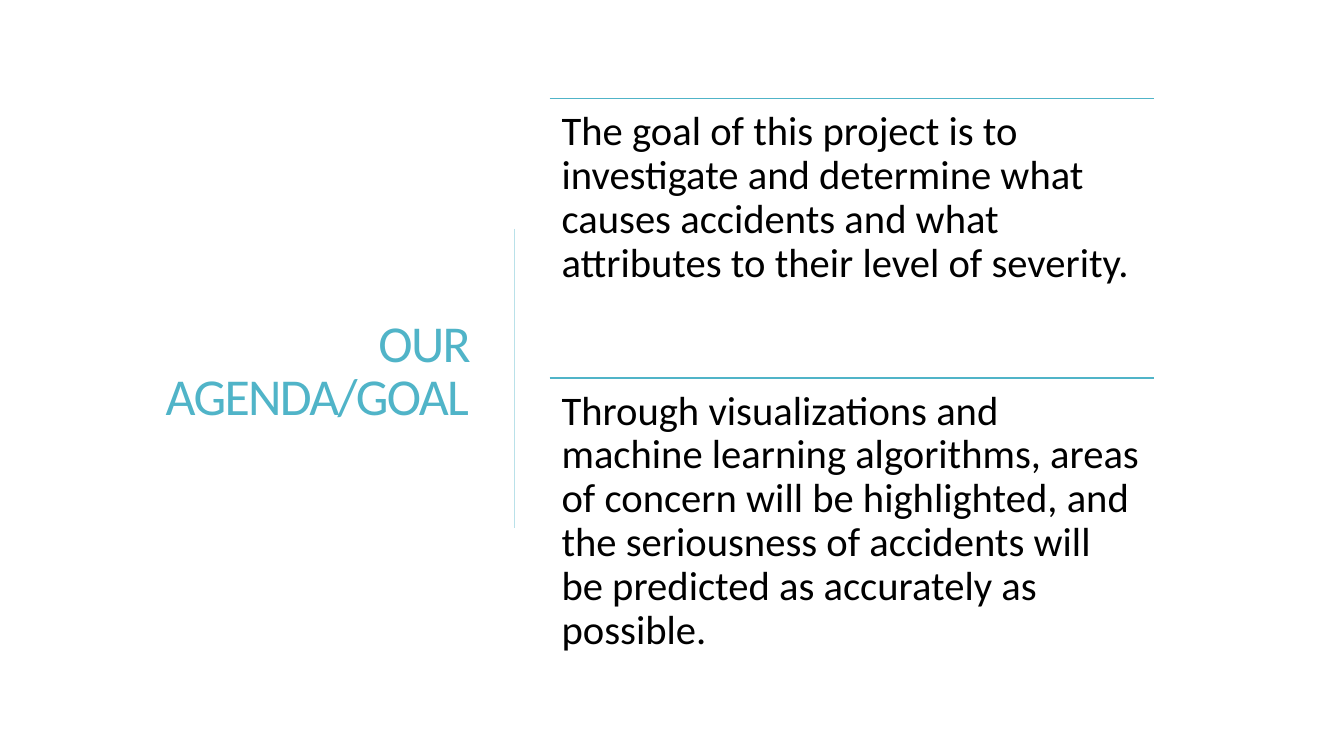
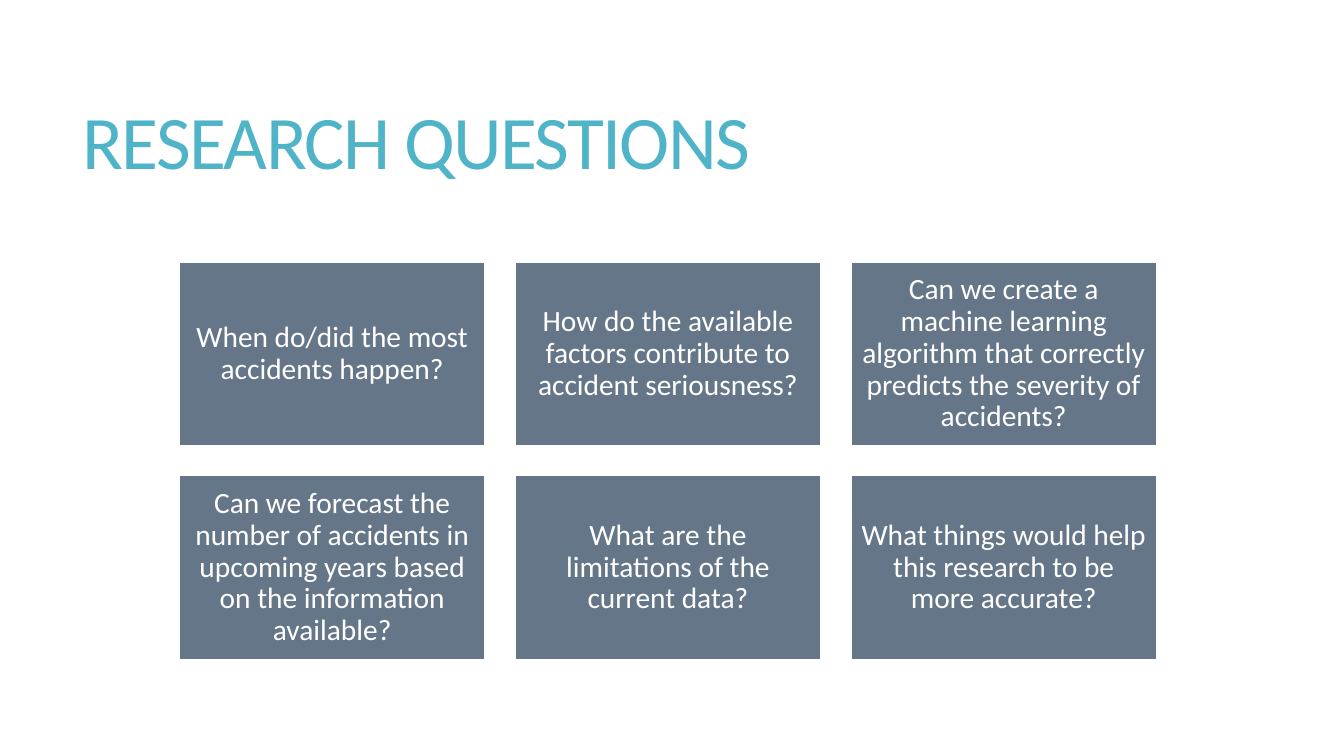
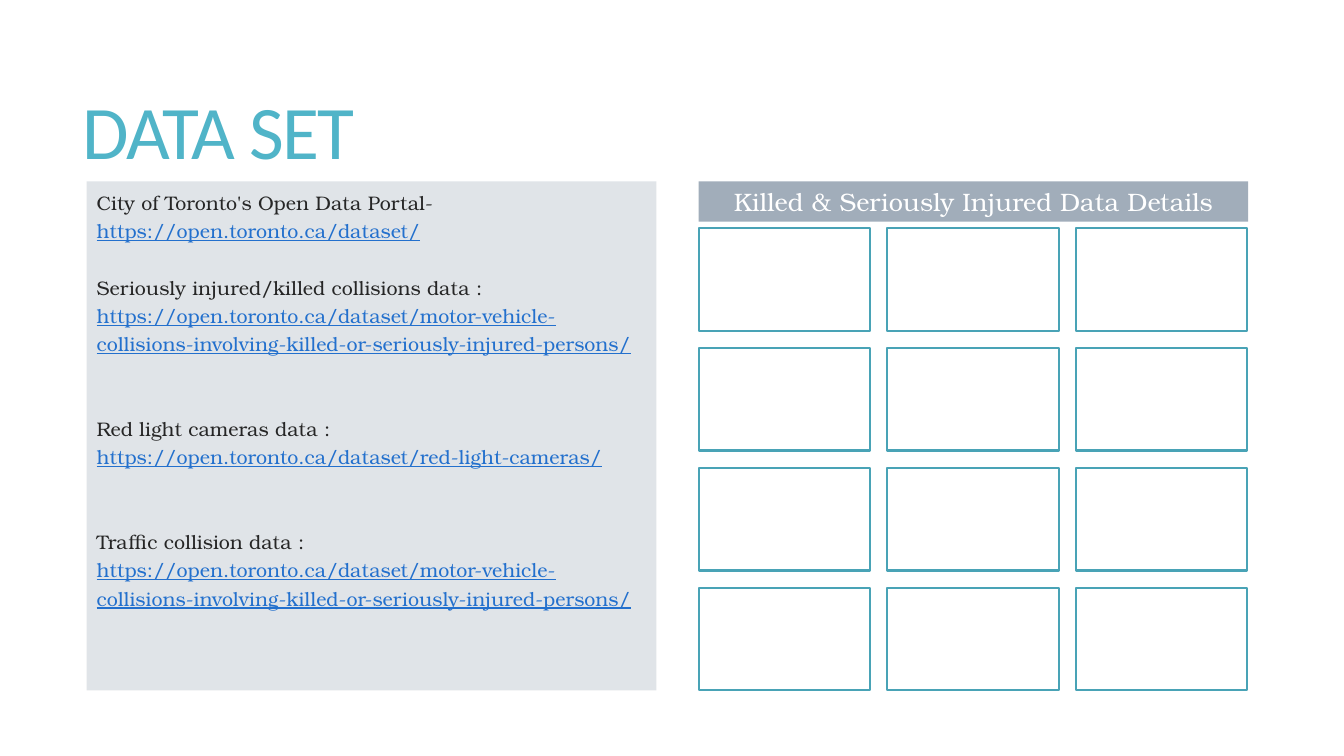
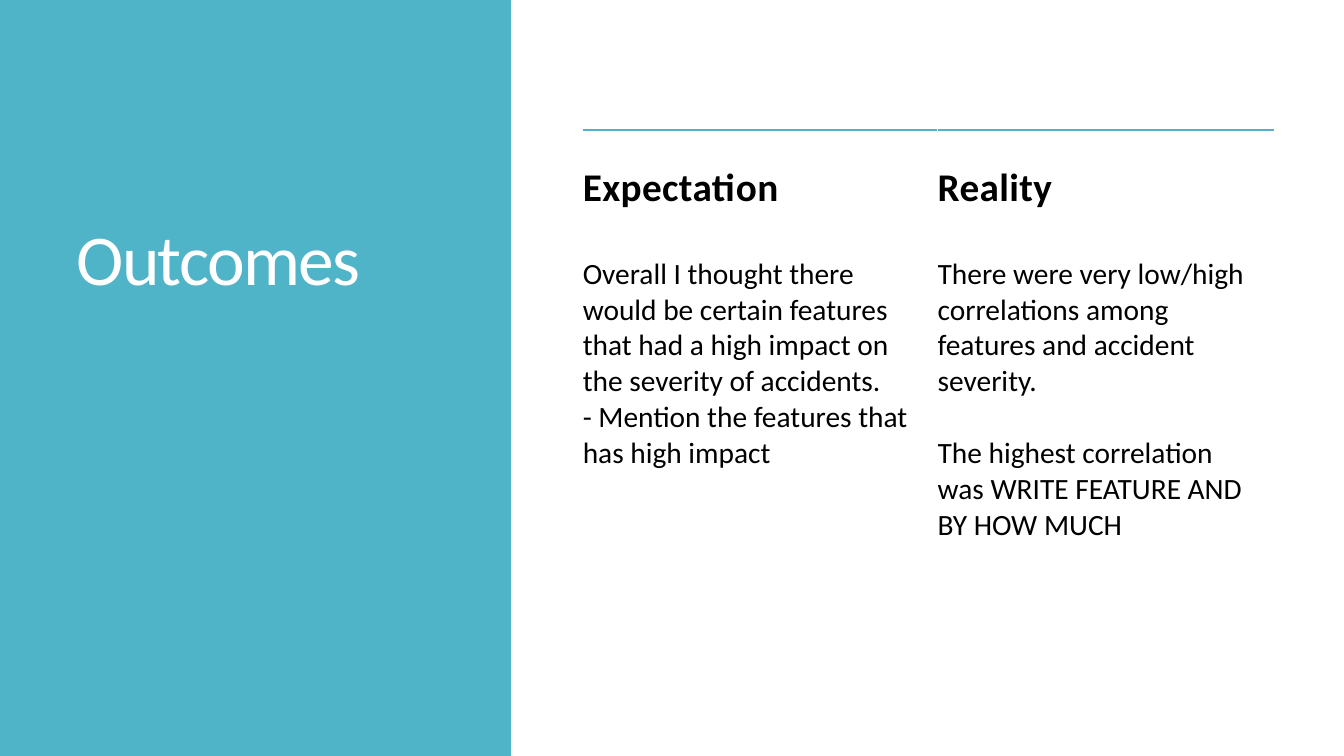
from lxml import etree
from pptx import Presentation
from pptx.dml.color import RGBColor
from pptx.enum.shapes import MSO_CONNECTOR as LINK, MSO_SHAPE as SHAPE
from pptx.enum.text import MSO_ANCHOR as ANCHOR, PP_ALIGN as ALIGN
from pptx.oxml.ns import qn
from pptx.util import Inches, Pt

TEAL = RGBColor(0x50, 0xB4, 0xC8)
PALE = RGBColor(0xB9, 0xE1, 0xE9)
EDGE = RGBColor(0x49, 0xA3, 0xB6)
SLATE = RGBColor(0x65, 0x76, 0x89)
STEEL = RGBColor(0xA1, 0xAD, 0xBA)
MIST = RGBColor(0xE0, 0xE4, 0xE8)
BLUE = RGBColor(0x23, 0x70, 0xCD)
INK = RGBColor(0x26, 0x26, 0x26)
BLACK = RGBColor(0, 0, 0)
WHITE = RGBColor(0xFF, 0xFF, 0xFF)

SANS = "Calibri"
SERIF = "TeX Gyre Bonum"

GOALS = [
    "The goal of this project is to investigate and determine what causes "
    "accidents and what attributes to their level of severity.",
    "Through visualizations and machine learning algorithms, areas of concern "
    "will be highlighted, and the seriousness of accidents will be predicted "
    "as accurately as possible.",
]
QUERIES = [
    "When do/did the most accidents happen?",
    "How do the available factors contribute to accident seriousness?",
    "Can we create a machine learning algorithm that correctly predicts "
    "the severity of accidents?",
    "Can we forecast the number of accidents in upcoming years based on "
    "the information available?",
    "What are the limitations of the current data?",
    "What things would help this research to be more accurate?",
]
SITE = "https://open.toronto.ca/dataset/"
CRASH = SITE + "motor-vehicle-collisions-involving-killed-or-seriously-injured-persons/"
# Label, address, points of space before
SOURCES = [
    ("City of Toronto's Open Data Portal-", SITE, 0),
    ("Seriously injured/killed collisions data :", CRASH, 20.2),
    ("Red light cameras data :", SITE + "red-light-cameras/", 40.4),
    ("Traffic collision data :", CRASH, 40.4),
]
# Heading, paragraphs, points of space between paragraphs
OUTCOMES = [
    ("Expectation",
     ["Overall I thought there would be certain features that had a high "
      "impact on the severity of accidents.",
      "- Mention the features that has high impact"], 0),
    ("Reality",
     ["There were very low/high correlations among features and accident severity.",
      "The highest correlation was WRITE FEATURE AND BY HOW MUCH"], 25.6),
]


def write(frame, text, size, color, face=SANS, track=0, before=0, new=False,
          bold=False, underline=False, **form):
    """Fill the first paragraph of a frame, or a new one; form sets its layout."""
    para = frame.add_paragraph() if new else frame.paragraphs[0]
    for name, value in form.items():
        setattr(para, name, value)
    if before:
        para.space_before = Pt(before)
    run = para.add_run()
    run.text = text
    look = {"name": face, "size": Pt(size), "bold": bold, "underline": underline}
    for name, value in look.items():
        setattr(run.font, name, value)
    run.font.color.rgb = color
    if track:
        run.font._element.set("spc", str(round(track * 100)))


def setup(frame, anchor=ANCHOR.TOP, inset=None):
    frame.word_wrap = True
    frame.vertical_anchor = anchor
    if inset is not None:
        for side in ("left", "top", "right", "bottom"):
            setattr(frame, "margin_" + side, Inches(inset))
    return frame


def text_box(slide, box, **frame):
    shape = slide.shapes.add_textbox(*map(Inches, box))
    return setup(shape.text_frame, **frame)


def rect(slide, box, fill, edge=None, width=1, **frame):
    shape = slide.shapes.add_shape(SHAPE.RECTANGLE, *map(Inches, box))
    shape.shadow.inherit = False
    shape.fill.solid()
    shape.fill.fore_color.rgb = fill
    if edge is None:
        shape.line.fill.background()
    else:
        shape.line.color.rgb = edge
        shape.line.width = Pt(width)
    return setup(shape.text_frame, **frame)


def rule(slide, start, end, color, width):
    line = slide.shapes.add_connector(LINK.STRAIGHT, *map(Inches, start + end))
    line.line.color.rgb = color
    line.line.width = Pt(width)
    etree.SubElement(line._element.spPr, qn("a:effectLst"))


def title(slide, text, box, size=54, color=TEAL, anchor=ANCHOR.MIDDLE,
          align=ALIGN.LEFT, space=0.85):
    write(text_box(slide, box, anchor=anchor), text, size, color, track=-1.2,
          alignment=align, line_spacing=space)


def grid(left, top, wide, high, dx, dy, cols, rows):
    """Yield boxes row by row, dx and dy apart from start to start."""
    for row in range(rows):
        for col in range(cols):
            yield left + col * dx, top + row * dy, wide, high


def top_edge(cell, color, width):
    line = etree.Element(qn("a:lnT"), w=str(Pt(width)))
    fill = etree.SubElement(line, qn("a:solidFill"))
    etree.SubElement(fill, qn("a:srgbClr"), val=str(color))
    cell._tc.get_or_add_tcPr().insert(0, line)


def set_cell(cell, right, anchor):
    cell.fill.background()
    cell.vertical_anchor = anchor
    cell.margin_left = 0
    cell.margin_right = Inches(right)
    cell.margin_top = cell.margin_bottom = Inches(0.09)


def agenda(slide):
    title(slide, "OUR AGENDA/GOAL", (1.49, 0.98, 3.26, 5.45), 37, align=ALIGN.RIGHT)
    rule(slide, (5.1, 2.27), (5.1, 5.24), PALE, 0.75)
    boxes = grid(5.45, 0.98, 6, 2.77, 0, 2.77, 1, 2)
    for text, box in zip(GOALS, boxes):
        left, top, wide, _ = box
        rule(slide, (left, top), (left + wide, top), TEAL, 1)
        write(text_box(slide, box, inset=0.12), text, 29, BLACK, line_spacing=0.9)


def research(slide):
    title(slide, "RESEARCH QUESTIONS", (0.72, 0.55, 11.78, 1.81))
    boxes = grid(1.78, 2.6, 3.03, 1.82, 3.33, 2.12, 3, 2)
    for text, box in zip(QUERIES, boxes):
        frame = rect(slide, box, SLATE, WHITE, anchor=ANCHOR.MIDDLE, inset=0.09)
        write(frame, text, 21, WHITE, alignment=ALIGN.CENTER, line_spacing=0.9)


def data_set(slide):
    title(slide, "DATA SET", (0.72, 0.55, 7.5, 1.6))
    frame = rect(slide, (0.86, 1.8, 5.65, 5.05), MIST)
    form = {"face": SERIF, "alignment": ALIGN.LEFT, "line_spacing": 1.2}
    for i, (label, link, gap) in enumerate(SOURCES):
        write(frame, label, 14, INK, new=i > 0, before=gap, **form)
        write(frame, link, 14, BLUE, new=True, underline=True, **form)
    for box in grid(6.93, 2.26, 1.7, 1.02, 1.87, 1.19, 3, 4):
        rect(slide, box, WHITE, EDGE, 1.5)
    head = rect(slide, (6.93, 1.8, 5.45, 0.4), STEEL, anchor=ANCHOR.MIDDLE)
    write(head, "Killed & Seriously Injured Data Details", 18, WHITE, SERIF,
          alignment=ALIGN.CENTER)


def outcomes(slide):
    rect(slide, (0, 0, 13.33, 7.5), TEAL)
    title(slide, "Outcomes", (0.66, 0.84, 3.79, 2.18), 51, WHITE,
          ANCHOR.BOTTOM, space=0.8)
    rect(slide, (5.07, 0, 8.26, 7.5), WHITE)
    box = map(Inches, (5.78, 1.29, 6.86, 4.54))
    table = slide.shapes.add_table(2, 2, *box).table
    table.first_row = table.horz_banding = False
    for row, high in zip(table.rows, (1.16, 3.38)):
        row.height = Inches(high)
    for col, wide in zip(table.columns, (3.52, 3.34)):
        col.width = Inches(wide)
    for i, (name, paras, gap) in enumerate(OUTCOMES):
        head, body = table.cell(0, i), table.cell(1, i)
        set_cell(head, 0.02, ANCHOR.MIDDLE)
        set_cell(body, 0.17, ANCHOR.TOP)
        top_edge(head, TEAL, 1.5)
        write(head.text_frame, name, 28, BLACK, track=0.3, bold=True)
        for j, text in enumerate(paras):
            write(body.text_frame, text, 21, BLACK, new=j > 0, before=gap * j)


def main():
    deck = Presentation()
    deck.slide_width, deck.slide_height = Inches(13.33), Inches(7.5)
    for build in (agenda, research, data_set, outcomes):
        build(deck.slides.add_slide(deck.slide_layouts[6]))
    deck.save("out.pptx")


if __name__ == "__main__":
    main()
